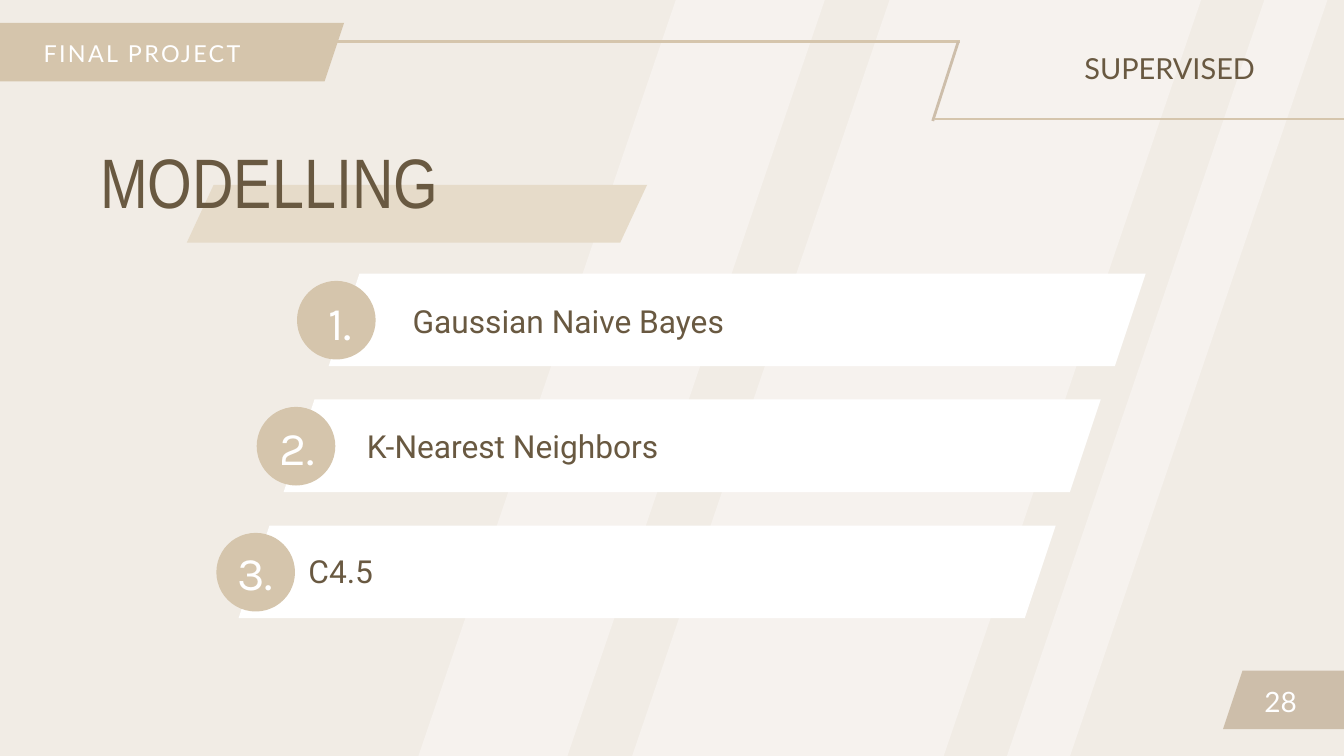
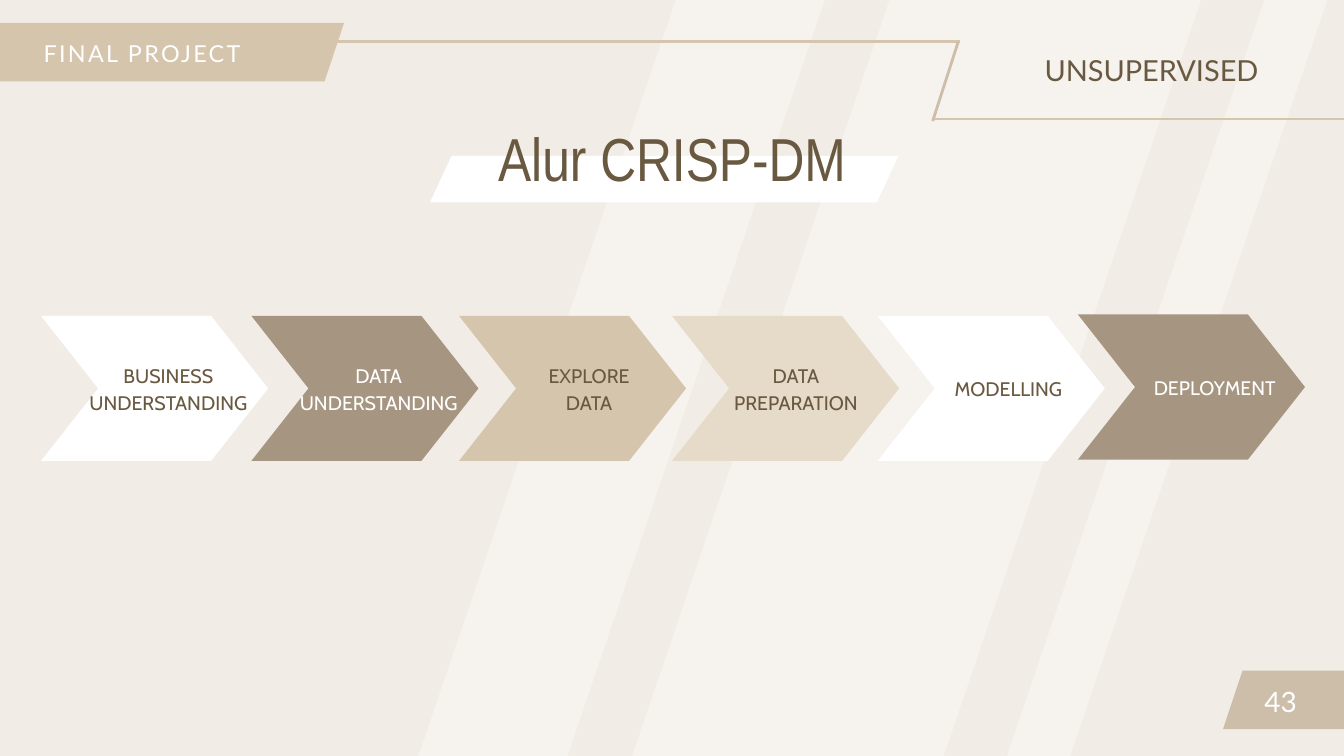
import pptx
import pptx.util
import pptx.dml.color
import pptx.enum.shapes
import pptx.enum.text
import pptx.oxml.ns
from lxml import etree

Inches = pptx.util.Inches
Pt = pptx.util.Pt
RGBColor = pptx.dml.color.RGBColor
Shape = pptx.enum.shapes.MSO_SHAPE
Align = pptx.enum.text.PP_ALIGN

CREAM = RGBColor(0xF1, 0xEC, 0xE5)
STRIPE = RGBColor(0xF6, 0xF2, 0xEE)
WHITE = RGBColor(0xFF, 0xFF, 0xFF)
PALE = RGBColor(0xE6, 0xDB, 0xC9)
SAND = RGBColor(0xD5, 0xC5, 0xAC)
DARK_SAND = RGBColor(0xCD, 0xBE, 0xAA)
TAUPE = RGBColor(0xA6, 0x95, 0x80)
BROWN = RGBColor(0x69, 0x59, 0x41)

TITLE_FONT = "Arial Narrow"
NUMBER_FONT = "Karla"
ITEM_FONT = "Roboto"
STEP_FONT = "Cabin"
HEADER_FONT = "Lato"
LEADING = 1.4  # line spacing as a multiple of the font size


class SlideWriter:
    """Holds the deck, its style and the slide being filled."""

    def __init__(self):
        self.deck = pptx.Presentation()
        self.deck.slide_width = Inches(20)
        self.deck.slide_height = Inches(11.25)
        self.page = None

    def new_page(self):
        self.page = self.deck.slides.add_slide(self.deck.slide_layouts[6])
        fill = self.page.background.fill
        fill.solid()
        fill.fore_color.rgb = CREAM
        stripes = [(8.17, -1.07, 2.1, 13.57), (11.45, -1.51, 4.39, 14.24),
                   (16.96, -1.49, 0.89, 14.02)]
        for stripe in stripes:
            self.shape(Shape.RECTANGLE, *stripe, STRIPE).rotation = 18.8

    def shape(self, kind, left, top, width, height, color, slant=None):
        """Add a flat shape; slant is the horizontal run of its sloping edge."""
        shape = self.page.shapes.add_shape(
            kind, Inches(left), Inches(top), Inches(width), Inches(height))
        shape.shadow.inherit = False
        shape.fill.solid()
        shape.fill.fore_color.rgb = color
        shape.line.fill.background()
        if slant is not None:
            shape.adjustments[0] = slant / min(width, height)
        return shape

    def band(self, left, top, width, height, color, slant):
        self.shape(Shape.PARALLELOGRAM, left, top, width, height, color, slant)

    def text(self, lines, left, top, width, height, size, font, color,
             align=Align.LEFT, tracking=None):
        """Add a text box with one paragraph for each line; tracking is in points."""
        box = self.page.shapes.add_textbox(
            Inches(left), Inches(top), Inches(width), Inches(height))
        frame = box.text_frame
        frame.margin_left = frame.margin_right = 0
        frame.margin_top = frame.margin_bottom = 0
        frame.word_wrap = True
        frame.auto_size = pptx.enum.text.MSO_AUTO_SIZE.SHAPE_TO_FIT_TEXT
        for index, line in enumerate(lines):
            para = frame.add_paragraph() if index else frame.paragraphs[0]
            para.alignment = align
            para.line_spacing = Pt(size * LEADING)
            span = para.add_run()
            span.text = line
            span.font.size = Pt(size)
            span.font.name = font
            span.font.color.rgb = color
            if tracking:
                span.font._element.set("spc", str(int(tracking * 100)))

    def line(self, start, end, color):
        line = self.page.shapes.add_connector(
            pptx.enum.shapes.MSO_CONNECTOR.STRAIGHT,
            *(Inches(value) for value in start + end))
        line.line.color.rgb = color
        line.line.width = Pt(3)
        etree.SubElement(line._element.spPr, pptx.oxml.ns.qn("a:effectLst"))

    def header(self, topic, left, top):
        self.band(-0.63, 0.34, 5.75, 0.87, SAND, 0.29)
        self.text(["FINAL PROJECT"], 0.65, 0.51, 5.24, 0.47, 25,
                  HEADER_FONT, WHITE, tracking=2.5)
        self.line((4.86, 0.62), (14.28, 0.62), SAND)
        self.line((13.91, 1.77), (20.38, 1.77), SAND)
        self.line((13.88, 1.8), (14.26, 0.62), DARK_SAND)
        self.text([topic], left, top, 3.75, 0.58, 31, HEADER_FONT, BROWN,
                  Align.CENTER)

    def footer(self, number):
        self.band(18.2, 9.98, 2.58, 0.87, DARK_SAND, 0.29)
        self.text([str(number)], 17.83, 10.1, 1.47, 0.57, 30, HEADER_FONT,
                  WHITE, Align.RIGHT)


def add_modelling(writer):
    writer.new_page()
    writer.band(2.78, 2.75, 6.85, 0.86, PALE, 0.4)
    writer.text(["MODELLING"], 1.49, 1.86, 9.48, 1.41, 75, TITLE_FONT, BROWN)
    models = [("Gaussian Naive Bayes", 6.14), ("K-Nearest Neighbors", 5.46),
              ("C4.5", 4.59)]
    for row, (model, text_left) in enumerate(models):
        drop = 1.875 * row
        writer.band(4.89 - 0.67 * row, 4.07 + drop, 12.16, 1.38, WHITE, 0.46)
        writer.shape(Shape.OVAL, 4.42 - 0.6 * row, 4.18 + drop, 1.17, 1.17, SAND)
        writer.text([f"{row + 1}."], 4.23 - 0.63 * row, 4.23 + 1.86 * row,
                    1.66, 0.94, 50, NUMBER_FONT, WHITE, Align.CENTER)
        writer.text([model], text_left, 4.4 + 1.855 * row, 10.7, 0.65, 34,
                    ITEM_FONT, BROWN)
    writer.header("SUPERVISED", 15.53, 0.66)
    writer.footer(28)


def add_crisp_flow(writer):
    writer.new_page()
    writer.band(6.4, 2.32, 6.97, 0.69, WHITE, 0.32)
    writer.text(["Alur CRISP-DM"], 5.52, 1.62, 8.97, 1.22, 65, TITLE_FONT,
                BROWN, Align.CENTER)
    # Chevron left and top, label left and top, fill, label colour, label
    steps = [
        (0.61, 4.7, 1.31, 5.35, WHITE, BROWN, ["BUSINESS UNDERSTANDING"]),
        (3.74, 4.7, 4.44, 5.35, TAUPE, WHITE, ["DATA UNDERSTANDING"]),
        (6.83, 4.7, 7.57, 5.35, SAND, BROWN, ["EXPLORE", "DATA"]),
        (10, 4.7, 10.65, 5.35, PALE, BROWN, ["DATA PREPARATION"]),
        (13.06, 4.7, 13.81, 5.55, WHITE, BROWN, ["MODELLING"]),
        (16.04, 4.68, 16.88, 5.53, TAUPE, WHITE, ["DEPLOYMENT"]),
    ]
    for left, top, label_left, label_top, fill, color, label in steps:
        writer.shape(Shape.CHEVRON, left, top, 3.38, 2.16, fill, 0.85)
        writer.text(label, label_left, label_top, 2.39, 0.81, 21, STEP_FONT,
                    color, Align.CENTER)
    writer.header("UNSUPERVISED", 15.26, 0.7)
    writer.footer(43)


def main():
    writer = SlideWriter()
    add_modelling(writer)
    add_crisp_flow(writer)
    writer.deck.save("out.pptx")


if __name__ == "__main__":
    main()
